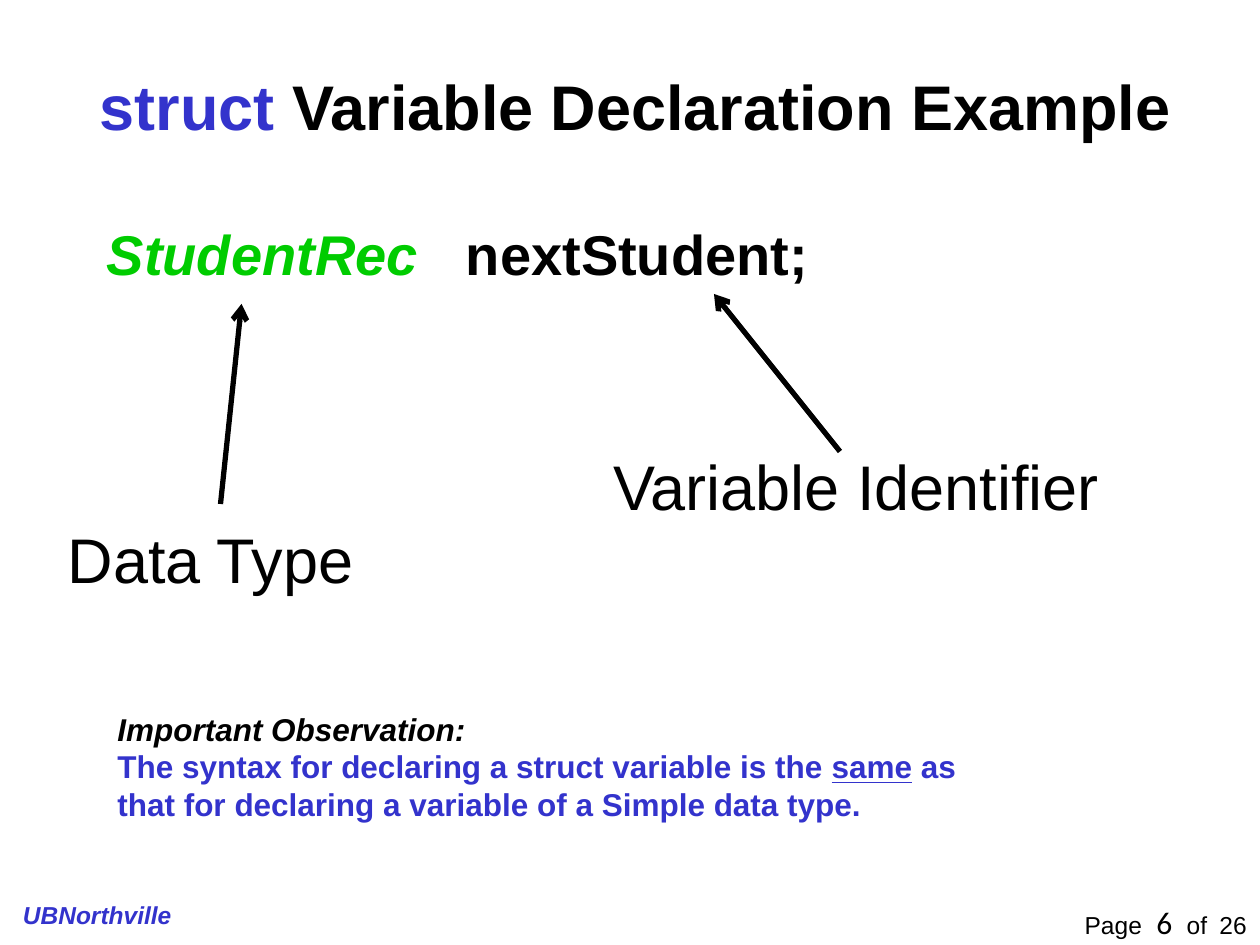
import pptx
import pptx.dml.color
import pptx.enum.shapes
import pptx.enum.text
import pptx.oxml
import pptx.oxml.ns
import pptx.util

COLORS = {"ink": "000000", "accent": "3333CC", "type": "00CC00"}
ALIGN = pptx.enum.text.PP_ALIGN
ANCHOR = pptx.enum.text.MSO_ANCHOR


def write(paragraph, text, size=18, color="ink", font="Arial", bold=False, italic=False, underline=False):
    """Append one formatted run to a paragraph."""
    run = paragraph.add_run()
    run.text = text
    run.font.name = font
    run.font.size = pptx.util.Pt(size)
    run.font.bold, run.font.italic, run.font.underline = bold, italic, underline
    run.font.color.rgb = pptx.dml.color.RGBColor.from_string(COLORS[color])


class SlideBuilder:
    """Draw elements on one slide, measured in a grid of 120 columns by 90 rows."""

    columns, rows = 120, 90

    def __init__(self, presentation):
        """Add a title-only slide to the presentation."""
        self.column = presentation.slide_width / self.columns
        self.row = presentation.slide_height / self.rows
        self.slide = presentation.slides.add_slide(presentation.slide_layouts[5])

    def place(self, *cells):
        """Turn alternating columns and rows into lengths."""
        return [round(cell * (self.row if index % 2 else self.column)) for index, cell in enumerate(cells)]

    def fill_frame(self, frame, paragraphs, right_margin=0, align=ALIGN.LEFT, anchor=ANCHOR.TOP, **style):
        """Write paragraphs of (text, format) runs into a text frame."""
        frame.word_wrap = True
        frame.vertical_anchor = anchor
        frame.margin_left, frame.margin_right = pptx.util.Inches(0.1), pptx.util.Inches(right_margin)
        frame.margin_top = frame.margin_bottom = pptx.util.Inches(0.05)
        for index, runs in enumerate(paragraphs):
            paragraph = frame.add_paragraph() if index else frame.paragraphs[0]
            paragraph.alignment = align
            for text, changes in runs:
                write(paragraph, text, **{**style, **changes})

    def title(self, cells, runs, **style):
        """Move and fill the title placeholder."""
        shape = self.slide.shapes.title
        shape.left, shape.top, shape.width, shape.height = self.place(*cells)
        self.fill_frame(
            shape.text_frame, [runs], right_margin=0.1, align=ALIGN.CENTER, anchor=ANCHOR.MIDDLE, **style
        )

    def text(self, cells, *paragraphs, tabs=(), **style):
        """Add a text box and return its first paragraph."""
        frame = self.slide.shapes.add_textbox(*self.place(*cells)).text_frame
        self.fill_frame(frame, paragraphs, **style)
        paragraph = frame.paragraphs[0]
        if tabs:
            properties = paragraph._p.get_or_add_pPr()
            stops = "".join(f'<a:tab pos="{pptx.util.Inches(tab)}" algn="l"/>' for tab in tabs)
            namespace = pptx.oxml.ns.nsdecls("a")
            properties.append(pptx.oxml.parse_xml(f"<a:tabLst {namespace}>{stops}</a:tabLst>"))
        return paragraph

    def label(self, cells, *paragraphs, **style):
        """Add an unfilled outline that holds text."""
        left, top, width, height = self.place(*cells)
        right, bottom = left + width, top + height
        outline = self.slide.shapes.build_freeform(left, top, scale=1.0)
        outline.add_line_segments([(right, top), (right, bottom), (left, bottom)], close=True)
        shape = outline.convert_to_shape()
        shape.fill.background()
        shape.line.fill.background()
        shape.shadow.inherit = False
        self.fill_frame(shape.text_frame, paragraphs, **style)

    def arrow(self, *cells):
        """Add a straight line with an open arrowhead at its end."""
        straight = pptx.enum.shapes.MSO_CONNECTOR.STRAIGHT
        connector = self.slide.shapes.add_connector(straight, *self.place(*cells))
        connector.line.width = pptx.util.Pt(3)
        connector.line.color.rgb = pptx.dml.color.RGBColor.from_string(COLORS["ink"])
        namespace = pptx.oxml.ns.nsdecls("a")
        line = connector.line._get_or_add_ln()
        line.append(pptx.oxml.parse_xml(f'<a:tailEnd {namespace} type="arrow"/>'))
        connector._element.spPr.append(pptx.oxml.parse_xml(f"<a:effectLst {namespace}/>"))


def main():
    """Build and save the slide."""
    presentation = pptx.Presentation()
    presentation.slide_width, presentation.slide_height = pptx.util.Inches(10), pptx.util.Inches(7.5)
    builder = SlideBuilder(presentation)

    builder.title(
        (8, 4, 105, 12),
        [("struct ", {"color": "accent"}), ("Variable Declaration Example", {})],
        size=36, bold=True,
    )
    declaration = builder.text(
        (9, 21, 102, 56),
        [("StudentRec\t", {"color": "type", "italic": True}), ("nextStudent;", {})],
        tabs=[2.85], size=32, bold=True,
    )
    declaration.line_spacing = 0.9
    declaration.space_before = pptx.util.Pt(8)

    builder.label(
        (10, 67, 82.2, 12),
        [("Important Observation:", {"color": "ink", "italic": True})],
        [
            ("The syntax for declaring a struct variable is the ", {}),
            ("same", {"underline": True}),
            (" as", {}),
        ],
        [("that for declaring a variable of a Simple data type.", {})],
        color="accent", bold=True,
    )
    builder.label((5.25, 49, 29.6, 8.4), [("Data Type", {})], size=36)
    builder.label((57.25, 42, 48.6, 8.4), [("Variable Identifier", {})], size=36)
    builder.arrow(21, 48, 23, 28.95)
    builder.arrow(80, 43, 68, 28)

    builder.text((1, 85.1, 17, 4), [("UBNorthville", {})], size=14, color="accent", bold=True, italic=True)
    builder.text(
        (87, 85.4, 33, 4),
        [("\tPage\t", {}), ("6", {"size": 18, "font": "Calibri"}), ("\tof\t26", {})],
        tabs=[1.26, 1.83, 2.07, 2.33], size=14,
    )
    presentation.save("out.pptx")


if __name__ == "__main__":
    main()
